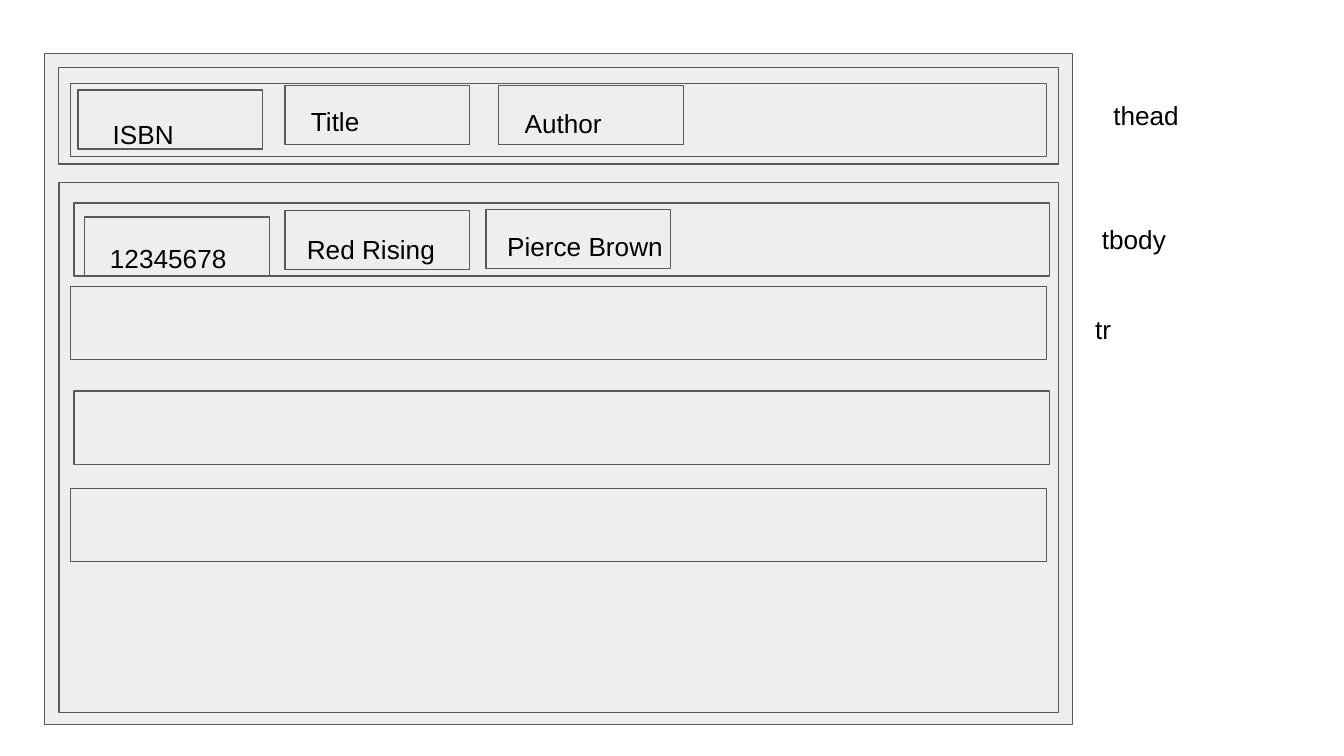
import pptx
import pptx.dml.color
import pptx.enum.shapes
import pptx.enum.text
import pptx.util

PX = 4572
HUES = {"fill": "EEEEEE", "line": "595959", "text": "000000"}
ROW = (1452, 109)
CELL = (275, 88)
HEAD = [
    ("ISBN", (11, 10), (32, 22), 910),
    ("Title", (319, 3), (19, 10), 210),
    ("Author", (637, 3), (19, 13), 246),
]
BOOK = [
    ("12345678", (16, 21), (18, 18), 246),
    ("Red Rising", (314, 11), (13, 15), 246),
    ("Pierce Brown", (613, 10), (12, 11), 282),
]
ROWS = [((22, 30), BOOK), ((17, 154), []), ((22, 310), []), ((17, 455), [])]
TAGS = [
    ("thead", (1637, 128), 176),
    ("tbody", (1620, 312), 910),
    ("tr", (1610, 447), 910),
]


def hue(name):
    return pptx.dml.color.RGBColor.from_string(HUES[name])


def shift(base, step):
    return base[0] + step[0], base[1] + step[1]


def scale(spot, size):
    return [n * PX for n in (*spot, *size)]


def draw_box(slide, spot, size):
    kind = pptx.enum.shapes.MSO_SHAPE.RECTANGLE
    box = slide.shapes.add_shape(kind, *scale(spot, size))
    box.shadow.inherit = False
    box.fill.solid()
    box.fill.fore_color.rgb = hue("fill")
    box.line.color.rgb = hue("line")
    box.line.width = pptx.util.Pt(0.75)


def draw_text(slide, text, spot, width):
    box = slide.shapes.add_textbox(*scale(spot, (width, 88)))
    frame = box.text_frame
    frame.word_wrap = True
    frame.auto_size = pptx.enum.text.MSO_AUTO_SIZE.SHAPE_TO_FIT_TEXT
    frame.margin_left = frame.margin_right = 20 * PX
    frame.margin_top = frame.margin_bottom = 20 * PX
    frame.text = text
    font = frame.paragraphs[0].runs[0].font
    font.name = "Arial"
    font.size = pptx.util.Pt(14)
    font.color.rgb = hue("text")


def draw_row(slide, spot, cells):
    draw_box(slide, spot, ROW)
    for text, step, inset, width in cells:
        cell = shift(spot, step)
        draw_box(slide, cell, CELL)
        draw_text(slide, text, shift(cell, inset), width)


def draw_part(slide, spot, size, rows):
    draw_box(slide, spot, size)
    for step, cells in rows:
        draw_row(slide, shift(spot, step), cells)


def draw_table(slide, spot, size):
    draw_box(slide, spot, size)
    draw_part(slide, shift(spot, (21, 20)), (1488, 144), [((18, 24), HEAD)])
    draw_part(slide, shift(spot, (22, 192)), (1487, 788), ROWS)


def main():
    deck = pptx.Presentation()
    deck.slide_width = 2000 * PX
    deck.slide_height = 1125 * PX
    slide = deck.slides.add_slide(deck.slide_layouts[6])
    draw_table(slide, (66, 80), (1530, 998))
    for text, spot, width in TAGS:
        draw_text(slide, text, spot, width)
    deck.save("out.pptx")


if __name__ == "__main__":
    main()
